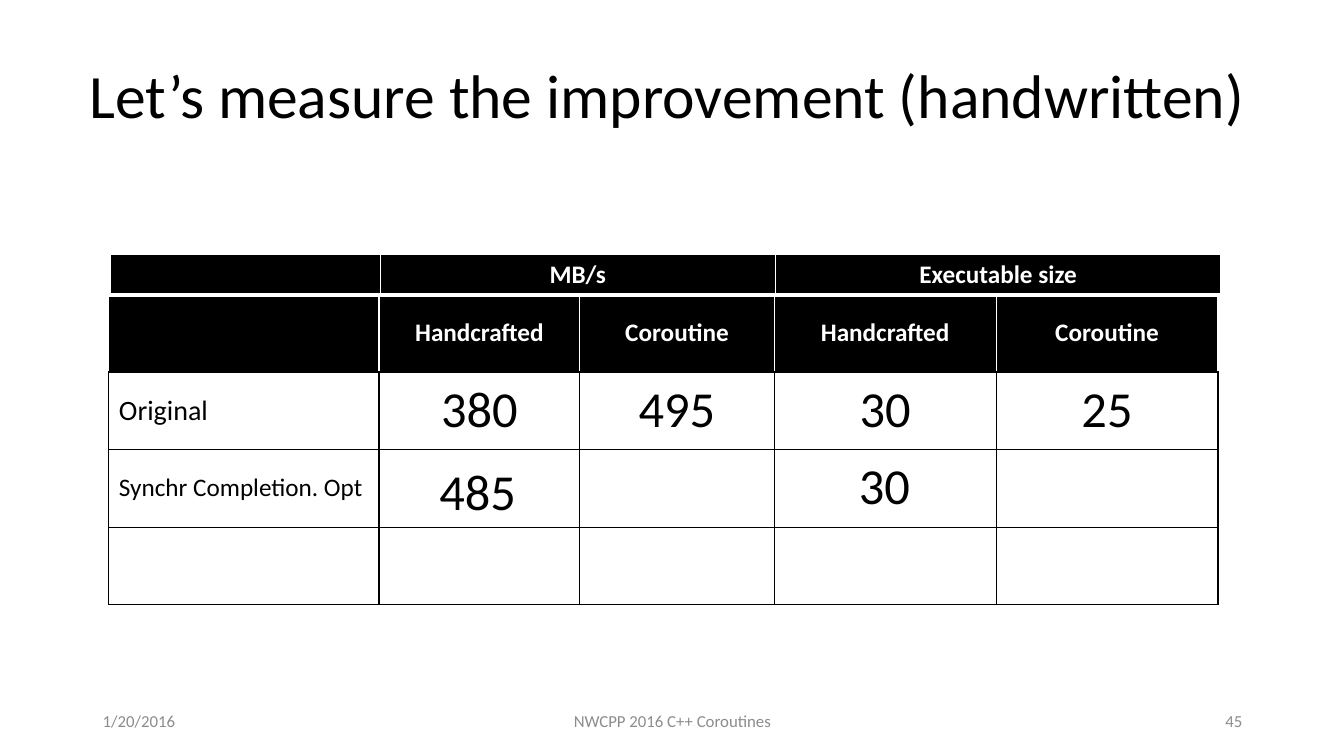
from pptx import Presentation
from pptx.dml.color import RGBColor
from pptx.enum.text import MSO_ANCHOR, PP_ALIGN
from pptx.util import Emu, Pt
from lxml.etree import SubElement
from pptx.oxml.ns import qn

PX = 9144
BLACK, WHITE, GREY = "000000", "FFFFFF", "8C8C8C"
LEFT, CENTER, RIGHT = PP_ALIGN.LEFT, PP_ALIGN.CENTER, PP_ALIGN.RIGHT
TOP, MIDDLE = MSO_ANCHOR.TOP, MSO_ANCHOR.MIDDLE


def px(length):
    return Emu(length * PX)


def rgb(value):
    return RGBColor.from_string(value)


def write(frame, text, size=18, color=BLACK, bold=False, align=LEFT, spacing=None, face="Calibri"):
    paragraph = frame.paragraphs[0]
    paragraph.alignment = align
    if spacing:
        paragraph.line_spacing = spacing
    run = paragraph.add_run()
    run.text = text
    run.font.name = face
    run.font.size = Pt(size)
    run.font.bold = bold
    run.font.color.rgb = rgb(color)


class Deck:
    def __init__(self, width, height):
        self.presentation = Presentation()
        self.presentation.slide_width = px(width)
        self.presentation.slide_height = px(height)
        self.slide = self.presentation.slides.add_slide(self.presentation.slide_layouts[6])

    def text(self, box, text, anchor=MIDDLE, wrap=True, **style):
        frame = self.slide.shapes.add_textbox(*map(px, box)).text_frame
        frame.word_wrap = wrap
        frame.vertical_anchor = anchor
        write(frame, text, **style)

    def table(self, left, top, widths, heights):
        table = self.slide.shapes.add_table(
            len(heights), len(widths), px(left), px(top), px(sum(widths)), px(sum(heights))
        ).table
        table.first_row = table.horz_banding = False
        for column, width in zip(table.columns, widths):
            column.width = px(width)
        for row, height in zip(table.rows, heights):
            row.height = px(height)
        return table

    def cell(self, cell, text, fill, edge, bottom, bottom_width=1, anchor=MIDDLE, **style):
        properties = cell._tc.get_or_add_tcPr()
        edges = {"L": (edge, 1), "R": (edge, 1), "T": (edge, 1), "B": (bottom, bottom_width)}
        for side, (color, width) in edges.items():
            line = SubElement(properties, qn(f"a:ln{side}"), w=str(Pt(width)))
            SubElement(SubElement(line, qn("a:solidFill")), qn("a:srgbClr"), val=color)
        cell.fill.solid()
        cell.fill.fore_color.rgb = rgb(fill)
        cell.vertical_anchor = anchor
        if text:
            write(cell.text_frame, text, **style)


def main():
    deck = Deck(1333, 750)
    deck.text((79, 25, 1175, 145), "Let’s measure the improvement (handwritten)", size=44, spacing=0.9)
    footers = [
        ((92, 695, 300, 40), "1/20/2016", LEFT),
        ((442, 695, 450, 40), "NWCPP 2016 C++ Coroutines", CENTER),
        ((942, 695, 300, 40), "45", RIGHT),
    ]
    for box, footer, align in footers:
        deck.text(box, footer, size=12, color=GREY, align=align)

    heading = {"color": WHITE, "bold": True, "align": CENTER}
    measurements = [
        ["", "Handcrafted", "Coroutine", "Handcrafted", "Coroutine"],
        ["Original", "380", "495", "30", "25"],
        ["Synchr Completion. Opt", "", "", "", ""],
        ["", "", "", "", ""],
    ]
    results = deck.table(108, 292, [268, 199, 193, 220, 220], [77] * len(measurements))
    for r, row in enumerate(measurements):
        for c, value in enumerate(row):
            if r == 0:
                look = {"fill": BLACK, "edge": WHITE, **heading}
            elif c == 0:
                look = {"fill": WHITE, "edge": BLACK, "size": 20 if r == 1 else 18}
            else:
                look = {"fill": WHITE, "edge": BLACK, "size": 36, "align": CENTER}
            deck.cell(results.cell(r, c), value, bottom=BLACK, **look)

    groups = deck.table(109, 252, [268, 392, 442], [41])
    for c, group in enumerate(["", "MB/s", "Executable size"]):
        deck.cell(groups.cell(0, c), group, BLACK, WHITE, WHITE, bottom_width=3, anchor=TOP, **heading)

    for box, optimized in [((426, 452, 97, 71), "485"), ((842, 446, 71, 71), "30")]:
        deck.text(box, optimized, anchor=TOP, wrap=False, size=36)

    deck.presentation.save("out.pptx")


if __name__ == "__main__":
    main()
